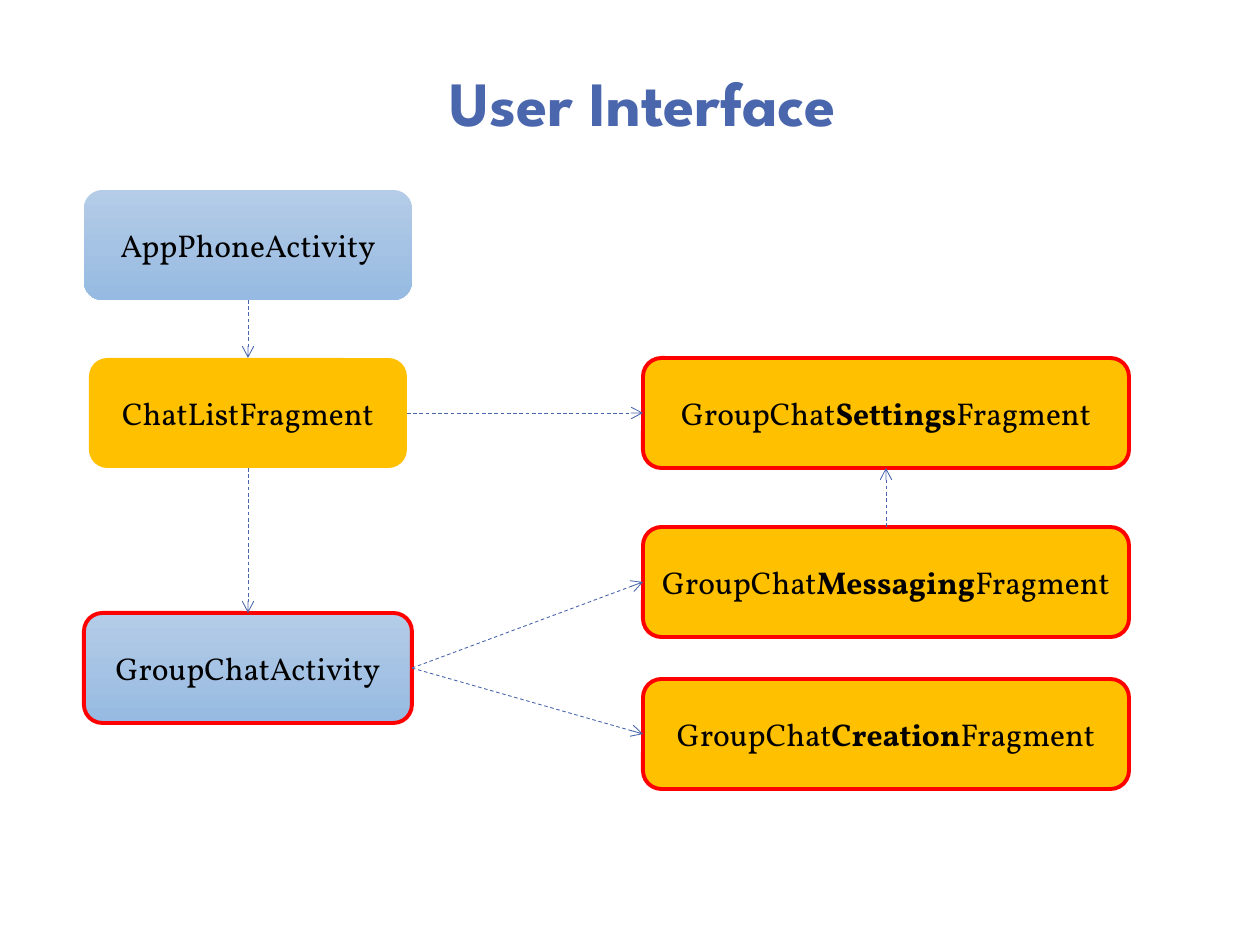
from lxml.etree import SubElement
from pptx import Presentation
from pptx.dml.color import RGBColor
from pptx.enum.dml import MSO_LINE
from pptx.enum.shapes import MSO_CONNECTOR, MSO_SHAPE
from pptx.enum.text import MSO_ANCHOR, PP_ALIGN
from pptx.oxml.ns import qn
from pptx.util import Emu, Pt

INK = "4A66AC"
GOLD = ["FFC000"]
BLUE = ["B4CCE7", "96BAE1"]
RED = "FF0000"
HIGH = 110
TOP, LEFT, BASE, RIGHT = range(4)


def px(count):
    return Emu(round(count * 914400 / 126))


def color(code):
    return RGBColor.from_string(code)


def style(para, face, size, code):
    para.alignment = PP_ALIGN.CENTER
    para.font.name = face
    para.font.size = Pt(size)
    para.font.color.rgb = color(code)


def title(slide, text):
    frame = slide.shapes.add_textbox(px(194), px(45), px(898), px(100)).text_frame
    frame.word_wrap = True
    frame.vertical_anchor = MSO_ANCHOR.BOTTOM
    para = frame.paragraphs[0]
    para.text = text
    para.line_spacing = 0.8
    para.font.bold = True
    style(para, "League Spartan", 36, INK)


def paint(fill, codes):
    if len(codes) == 1:
        fill.solid()
        fill.fore_color.rgb = color(codes[0])
        return
    fill.gradient()
    fill.gradient_angle = 270
    for stop, code in zip(fill.gradient_stops, codes):
        stop.color.rgb = color(code)


def box(slide, mid, top, wide, codes, words, edge=None):
    shape = slide.shapes.add_shape(
        MSO_SHAPE.ROUNDED_RECTANGLE,
        px(mid - wide // 2), px(top), px(wide), px(HIGH))
    shape.shadow.inherit = False
    paint(shape.fill, codes)
    if edge:
        shape.line.color.rgb = color(edge)
        shape.line.width = Pt(2.25)
    else:
        shape.line.fill.background()
    frame = shape.text_frame
    frame.margin_left = frame.margin_right = px(4)
    frame.vertical_anchor = MSO_ANCHOR.MIDDLE
    para = frame.paragraphs[0]
    style(para, "Vollkorn", 18, "000000")
    for spot, word in enumerate(words):
        run = para.add_run()
        run.text = word
        if spot == 1:
            run.font.bold = True
    return shape


def arrow(slide, start, out, end, into):
    link = slide.shapes.add_connector(MSO_CONNECTOR.STRAIGHT, 0, 0, 0, 0)
    link.begin_connect(start, out)
    link.end_connect(end, into)
    link.line.color.rgb = color(INK)
    link.line.width = Pt(0.5)
    link.line.dash_style = MSO_LINE.DASH
    props = link._element.spPr
    SubElement(props.find(qn("a:ln")), qn("a:tailEnd"), type="arrow")
    SubElement(props, qn("a:effectLst"))


def main():
    deck = Presentation()
    deck.slide_width, deck.slide_height = px(1260), px(945)
    slide = deck.slides.add_slide(deck.slide_layouts[6])
    title(slide, "User Interface")
    main_box = box(slide, 248, 190, 328, BLUE, ["AppPhoneActivity"])
    chats = box(slide, 248, 358, 318, GOLD, ["ChatListFragment"])
    group = box(slide, 248, 613, 328, BLUE, ["GroupChatActivity"], RED)
    setup, talk, create = [
        box(slide, 886, top, 486, GOLD, ["GroupChat", role, "Fragment"], RED)
        for role, top in [("Settings", 358), ("Messaging", 527), ("Creation", 679)]]
    for ends in [
        (main_box, BASE, chats, TOP),
        (chats, BASE, group, TOP),
        (group, RIGHT, create, LEFT),
        (group, RIGHT, talk, LEFT),
        (chats, RIGHT, setup, LEFT),
        (talk, TOP, setup, BASE),
    ]:
        arrow(slide, *ends)
    deck.save("out.pptx")


if __name__ == "__main__":
    main()
